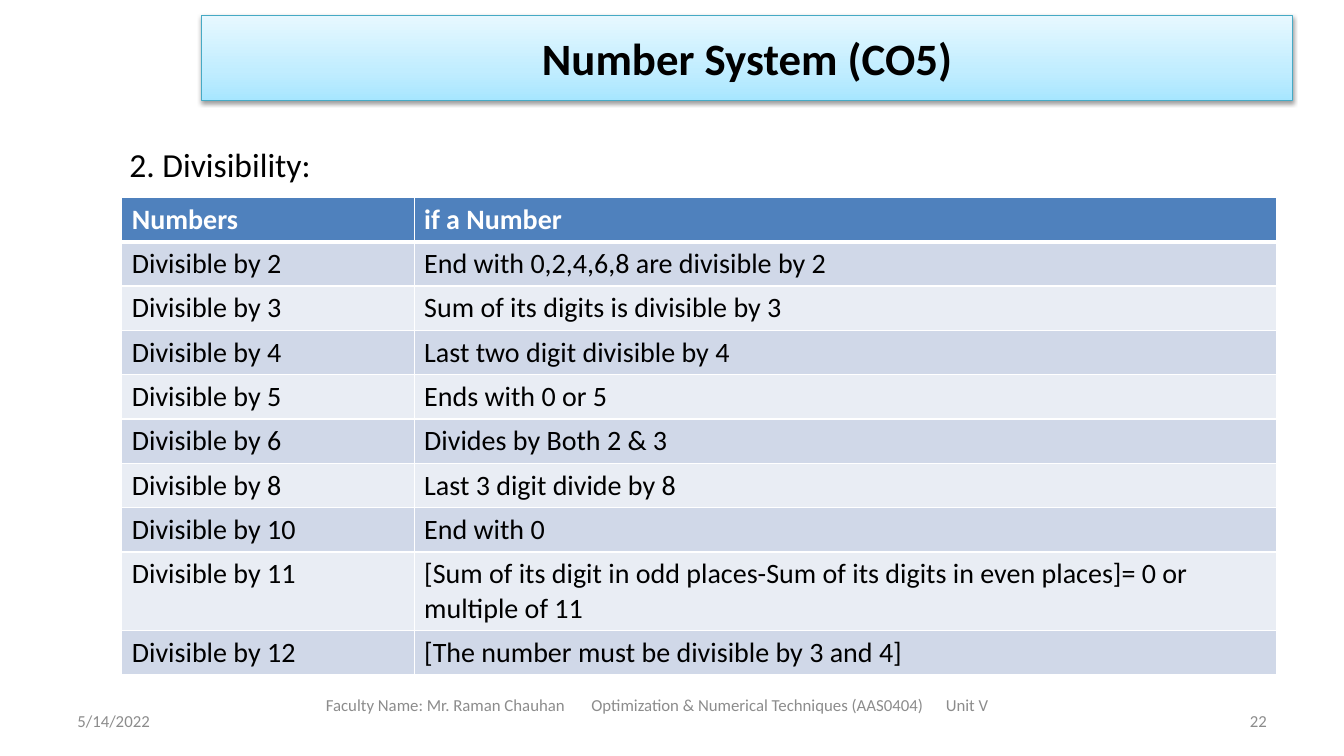
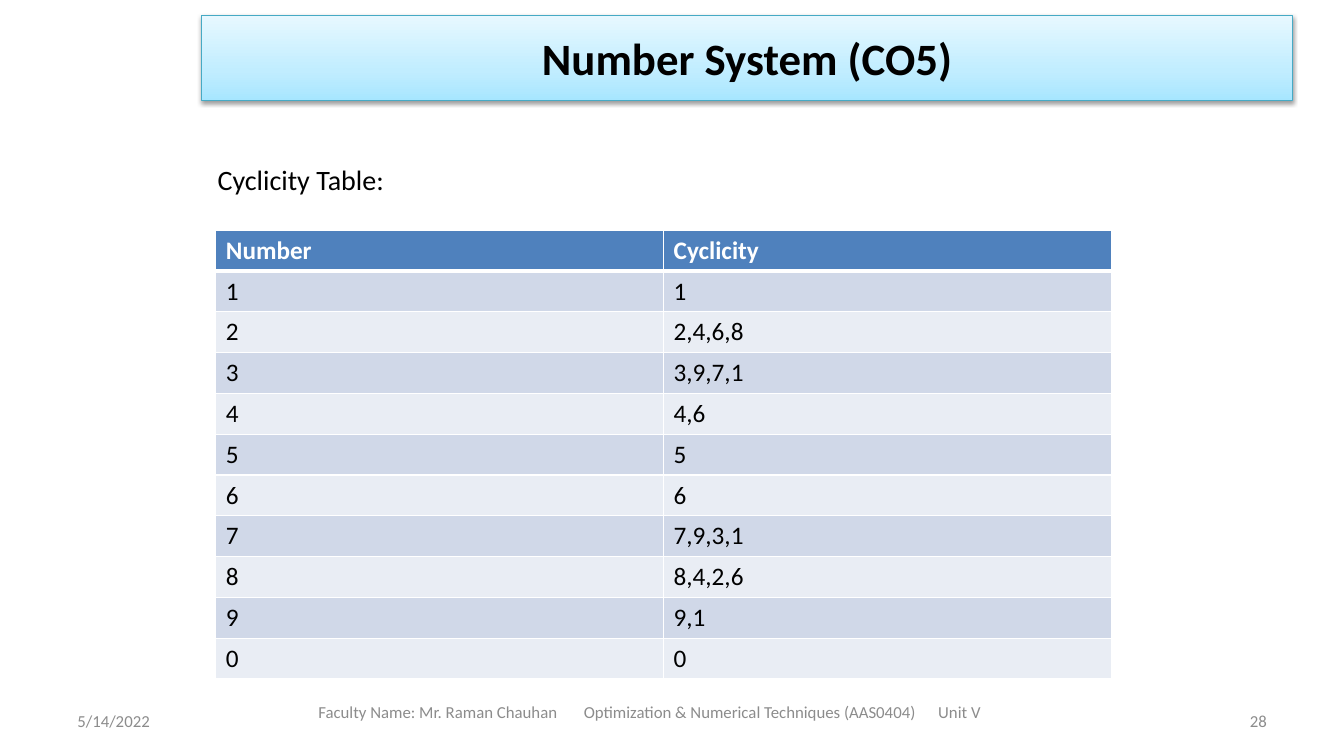
from lxml import etree
from pptx import Presentation
from pptx import util as u
from pptx.dml.color import RGBColor
from pptx.enum import shapes, text
from pptx.oxml import ns

COLORS = {
    "ink": "000000", "muted": "8C8C8C", "paper": "FFFFFF",
    "head": "4F81BD", "odd": "D0D8E8", "even": "E9EDF4",
    "edge": "46AAC5", "low": "A7E6FF", "mid": "C1EDFF", "high": "E7F8FF",
}
FONT = "Calibri"
COLUMNS, ROWS = 160, 90  # grid of the slide
LEFT, CENTER, RIGHT = text.PP_ALIGN.LEFT, text.PP_ALIGN.CENTER, text.PP_ALIGN.RIGHT
TOP, MIDDLE = text.MSO_ANCHOR.TOP, text.MSO_ANCHOR.MIDDLE


def rgb(name):
    return RGBColor.from_string(COLORS[name])


def add_xml(parent, tag, **attributes):
    return etree.SubElement(parent, ns.qn(tag), attributes)


def add_color(parent, name):
    return add_xml(parent, "a:srgbClr", val=COLORS[name])


class Lesson:
    """Holds the deck, its style and the current page."""

    def __init__(self):
        self.deck = Presentation()
        self.deck.slide_width = u.Inches(13.33)
        self.deck.slide_height = u.Inches(7.5)
        self.page = None

    def x(self, columns):
        return round(self.deck.slide_width * columns / COLUMNS)

    def y(self, rows):
        return round(self.deck.slide_height * rows / ROWS)

    def place(self, left, top, width, height):
        return self.x(left), self.y(top), self.x(width), self.y(height)

    def add_span(self, para, words, size, color="ink", bold=False):
        span = para.add_run()
        span.text = words
        span.font.name, span.font.size, span.font.bold = FONT, u.Pt(size), bold
        span.font.color.rgb = rgb(color)

    def label(self, area, words, size, color="ink", align=LEFT, anchor=TOP, inset=1.2, tabs=()):
        box = self.page.shapes.add_textbox(*self.place(*area))
        frame = box.text_frame
        frame.word_wrap = True
        frame.vertical_anchor = anchor
        frame.margin_left = self.x(inset)
        para = frame.paragraphs[0]
        para.alignment = align
        if tabs:
            stops = add_xml(para._p.get_or_add_pPr(), "a:tabLst")
            for stop in tabs:
                add_xml(stops, "a:tab", pos=str(self.x(stop)), algn="l")
        self.add_span(para, words, size, color)

    def title(self, words):
        band = self.page.shapes.add_shape(
            shapes.MSO_SHAPE.RECTANGLE, *self.place(24, 1.8, 129.9, 10.2))
        band.line.color.rgb = rgb("edge")
        band.line.width = u.Pt(0.75)
        # Gradient from bottom to top
        band.fill.background()
        properties = band._element.spPr
        gradient = etree.Element(ns.qn("a:gradFill"), rotWithShape="1")
        stops = add_xml(gradient, "a:gsLst")
        for percent, name in ((0, "low"), (35, "mid"), (100, "high")):
            add_color(add_xml(stops, "a:gs", pos=str(percent * 1000)), name)
        add_xml(gradient, "a:lin", ang="16200000", scaled="0")
        properties.replace(properties.find(ns.qn("a:noFill")), gradient)
        # Soft shadow below
        band.shadow.inherit = False
        shadow = add_xml(properties.find(ns.qn("a:effectLst")), "a:outerShdw",
                         blurRad=str(u.Pt(3.1)), dist=str(u.Pt(1.6)),
                         dir="5400000", rotWithShape="0")
        add_xml(add_color(shadow, "ink"), "a:alpha", val="38000")
        # Wording
        frame = band.text_frame
        frame.word_wrap = True
        frame.vertical_anchor = MIDDLE
        para = frame.paragraphs[0]
        para.alignment = CENTER
        self.add_span(para, words, 32, bold=True)

    def footer(self, number, left, top):
        self.label((8, 83.4, 37.3, 4.8), "5/14/2022", 12, "muted", anchor=MIDDLE)
        self.label((left, top, 84, 4.8),
                   "Faculty Name: Mr. Raman Chauhan\t"
                   "Optimization & Numerical Techniques (AAS0404)\tUnit V",
                   12, "muted", anchor=MIDDLE, tabs=(31.6, 73.8))
        self.label((114.7, 83.4, 37.3, 4.8), str(number), 12, "muted", RIGHT, MIDDLE)

    def start(self, number, footer_left, footer_top):
        self.page = self.deck.slides.add_slide(self.deck.slide_layouts[6])
        self.title("Number System (CO5)")
        self.footer(number, footer_left, footer_top)

    def cell(self, cell, words, size, fill, header):
        properties = cell._tc.get_or_add_tcPr()
        for side in "LRTB":
            width = 3 if header and side == "B" else 1
            line = add_xml(properties, f"a:ln{side}", w=str(u.Pt(width)))
            add_color(add_xml(line, "a:solidFill"), "paper")
        cell.fill.solid()
        cell.fill.fore_color.rgb = rgb(fill)
        self.add_span(cell.text_frame.paragraphs[0], words, size,
                      "paper" if header else "ink", header)

    def table(self, left, top, widths, heights, size, records):
        area = self.place(left, top, sum(widths), sum(heights))
        grid = self.page.shapes.add_table(len(records), len(widths), *area).table
        for column, width in zip(grid.columns, widths):
            column.width = self.x(width)
        for r, (record, height) in enumerate(zip(records, heights)):
            grid.rows[r].height = self.y(height)
            fill = "head" if r == 0 else ("even", "odd")[r % 2]
            for c, words in enumerate(record):
                self.cell(grid.cell(r, c), words, size, fill, r == 0)


DIVISIBILITY = [
    ("2", "End with 0,2,4,6,8 are divisible by 2"),
    ("3", "Sum of its digits is divisible by 3"),
    ("4", "Last two digit divisible by 4"),
    ("5", "Ends with 0 or 5"),
    ("6", "Divides by Both 2 & 3"),
    ("8", "Last 3 digit divide by 8"),
    ("10", "End with 0"),
    ("11", "[Sum of its digit in odd places-Sum of its digits in even places]= 0 or multiple of 11"),
    ("12", "[The number must be divisible by 3 and 4]"),
]
CYCLICITY = ["1", "2,4,6,8", "3,9,7,1", "4,6", "5", "6", "7,9,3,1", "8,4,2,6", "9,1", "0"]


def main():
    lesson = Lesson()

    # Divisibility rules
    lesson.start(22, 37.6, 81.5)
    lesson.label((13.3, 16.6, 140.6, 5), "2. Divisibility:", 24, inset=2.1)
    rules = [("Numbers", "if a Number")]
    rules += [(f"Divisible by {number}", rule) for number, rule in DIVISIBILITY]
    lesson.table(14.5, 23.5, (34.8, 102.7), [5.28] * 8 + [9.36, 5.28], 20, rules)

    # Cyclicity of the last digit
    lesson.start(28, 36.7, 82.4)
    lesson.label((24, 18.7, 129.9, 5), "Cyclicity Table:", 20, inset=1.9)
    cycles = [("Number", "Cyclicity")]
    cycles += [(cycle[0], cycle) for cycle in CYCLICITY]
    lesson.table(25.7, 27.4, (53.3, 53.3), [4.86] * len(cycles), 18, cycles)

    lesson.deck.save("out.pptx")


if __name__ == "__main__":
    main()
